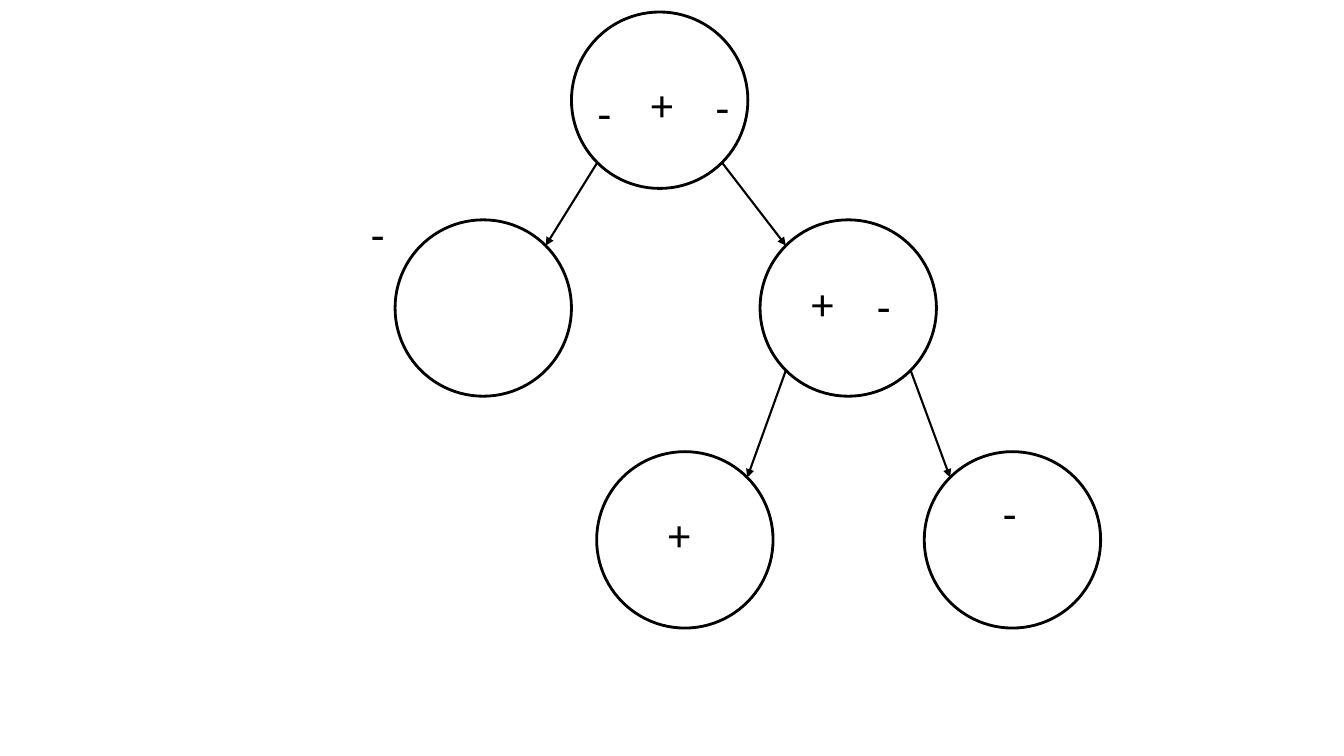
from math import sqrt
from lxml.etree import SubElement
from pptx import Presentation
from pptx.dml.color import RGBColor
from pptx.enum.shapes import MSO_CONNECTOR, MSO_SHAPE
from pptx.enum.text import MSO_AUTO_SIZE
from pptx.oxml.ns import qn
from pptx.util import Pt

BLACK = "000000"
DIAMETER = 126
NEAR = DIAMETER * (1 - sqrt(0.5)) / 2
FAR = DIAMETER - NEAR
SIGN_W, SIGN_H = 13.7, 46
SIGN_FONT = {"name": "Calibri", "size": Pt(32)}
SIGN_FRAME = {"word_wrap": True, "margin_right": 0, "auto_size": MSO_AUTO_SIZE.SHAPE_TO_FIT_TEXT}

NODES = {
    "root": (408.2, 8.6, [("+", 49.7, 42.5), ("-", 95.8, 44.7), ("-", 11.6, 49)]),
    "left": (282.2, 157, [("-", -24.4, -13)]),
    "right": (542.9, 157, [("+", 29.5, 36.7), ("-", 76.3, 38.8)]),
    "right_minus": (660.2, 322.6, [("-", 49, 20.8)]),
    "right_plus": (426.2, 322.6, [("+", 44, 36)]),
}
EDGES = [
    ("root", "left"),
    ("root", "right"),
    ("right", "right_plus"),
    ("right", "right_minus"),
]


def color(hex_value):
    return RGBColor.from_string(hex_value)


def set_format(target, values):
    for name, value in values.items():
        setattr(target, name, value)


def add_sign(s, text, x, y):
    tf = s.shapes.add_textbox(Pt(x), Pt(y), Pt(SIGN_W), Pt(SIGN_H)).text_frame
    set_format(tf, SIGN_FRAME)
    r = tf.paragraphs[0].add_run()
    r.text = text
    set_format(r.font, SIGN_FONT)
    r.font.color.rgb = color(BLACK)


def add_node(s, x, y, signs):
    sp = s.shapes.add_shape(MSO_SHAPE.FLOWCHART_CONNECTOR, Pt(x), Pt(y), Pt(DIAMETER), Pt(DIAMETER))
    sp.shadow.inherit = False
    sp.fill.background()
    sp.line.color.rgb = color(BLACK)
    sp.line.width = Pt(2)
    for text, dx, dy in signs:
        add_sign(s, text, x + dx, y + dy)


def add_edge(s, parent, child):
    px, py, _ = NODES[parent]
    cx, cy, _ = NODES[child]
    start, end = (NEAR, FAR) if cx < px else (FAR, NEAR)
    edge = s.shapes.add_connector(
        MSO_CONNECTOR.STRAIGHT, Pt(px + start), Pt(py + FAR), Pt(cx + end), Pt(cy + NEAR)
    )
    edge.line.color.rgb = color(BLACK)
    edge.line.width = Pt(1.5)
    SubElement(edge.line._get_or_add_ln(), qn("a:tailEnd"), type="triangle")
    SubElement(edge._element.spPr, qn("a:effectLst"))


def add_tree(s):
    for x, y, signs in NODES.values():
        add_node(s, x, y, signs)
    for parent, child in EDGES:
        add_edge(s, parent, child)


def main():
    prs = Presentation()
    prs.slide_width, prs.slide_height = Pt(960), Pt(540)
    s = prs.slides.add_slide(prs.slide_layouts[6])
    add_tree(s)
    prs.save("out.pptx")


if __name__ == "__main__":
    main()
